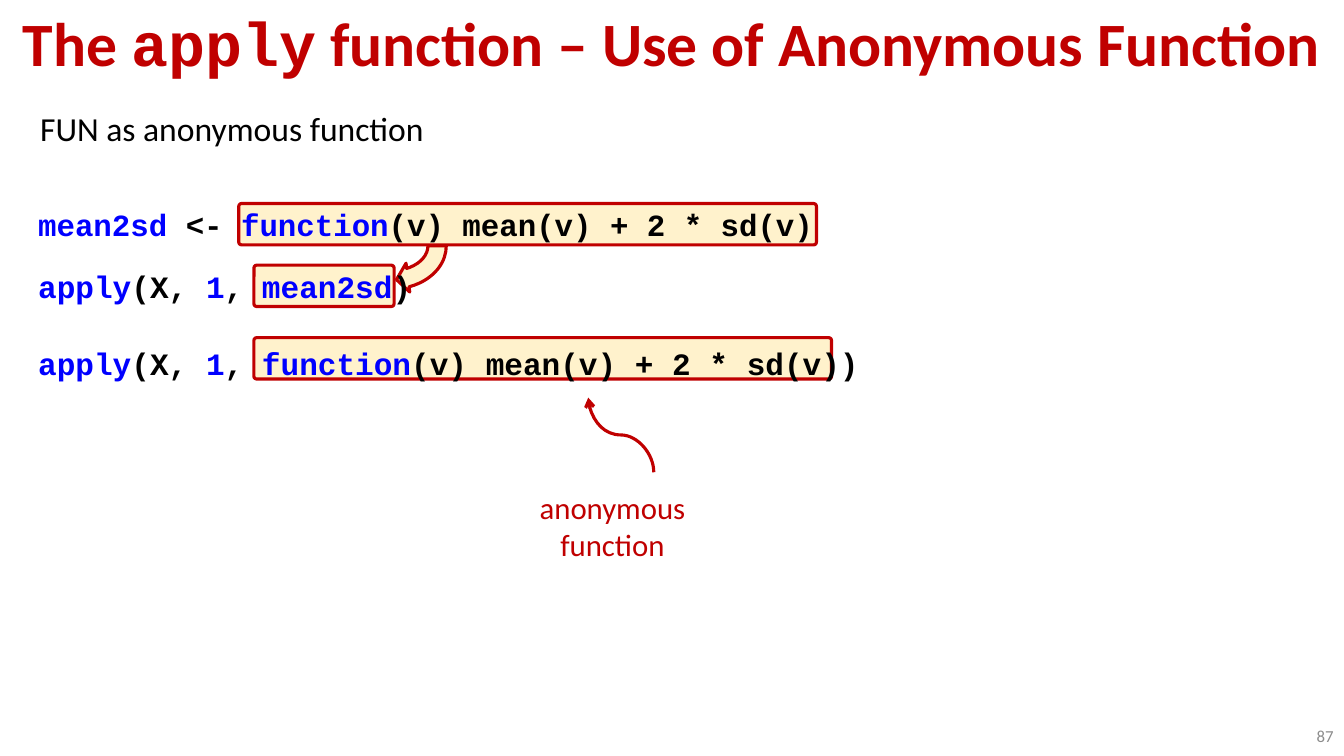
import pptx
import pptx.dml.color
import pptx.enum.shapes
import pptx.enum.text
import pptx.oxml
import pptx.oxml.ns
import pptx.util
from pptx.util import Pt

RED = pptx.dml.color.RGBColor(0xC0, 0x00, 0x00)
CREAM = pptx.dml.color.RGBColor(0xFF, 0xF2, 0xCC)
BLUE = pptx.dml.color.RGBColor(0x00, 0x00, 0xFF)
BLACK = pptx.dml.color.RGBColor(0x00, 0x00, 0x00)
GRAY = pptx.dml.color.RGBColor(0x8C, 0x8C, 0x8C)
BODY_FONT = "Calibri"
CODE_FONT = "Courier New"
LINE_WIDTH = 2.25
SHAPES = pptx.enum.shapes.MSO_SHAPE
ALIGN = pptx.enum.text.PP_ALIGN
ANCHOR = pptx.enum.text.MSO_ANCHOR


def add_text(slide, box, runs, size, color=BLACK, font=BODY_FONT, bold=False,
             align=ALIGN.LEFT, anchor=ANCHOR.TOP, spacing=1.0):
    shape = slide.shapes.add_textbox(*map(Pt, box))
    frame = shape.text_frame
    frame.word_wrap = True
    frame.vertical_anchor = anchor
    paragraph = frame.paragraphs[0]
    paragraph.alignment = align
    paragraph.line_spacing = spacing
    for text, changes in runs:
        run = paragraph.add_run()
        run.text = text
        run.font.size = Pt(size)
        run.font.bold = bold
        run.font.name = changes.get("font", font)
        run.font.color.rgb = changes.get("color", color)


def add_code(slide, top, size, pieces):
    runs = [(text, {"color": (BLUE, BLACK)[index % 2]})
            for index, text in enumerate(pieces)]
    add_text(slide, (20.2, top, 916, 36.7), runs, size,
             font=CODE_FONT, bold=True, spacing=1.1)


def add_highlight(slide, kind, box, adjustments, rotation=0):
    shape = slide.shapes.add_shape(kind, *map(Pt, box))
    shape.shadow.inherit = False
    shape.fill.solid()
    shape.fill.fore_color.rgb = CREAM
    shape.line.color.rgb = RED
    shape.line.width = Pt(LINE_WIDTH)
    shape.rotation = rotation
    for index, value in enumerate(adjustments):
        shape.adjustments[index] = value


def add_curved_arrow(slide, begin, end, rotation):
    connector = slide.shapes.add_connector(
        pptx.enum.shapes.MSO_CONNECTOR.CURVE, *map(Pt, begin + end))
    connector.line.color.rgb = RED
    connector.line.width = Pt(LINE_WIDTH)
    properties = connector._element.spPr
    properties.find(pptx.oxml.ns.qn("a:xfrm")).set("rot", str(rotation * 60000))
    namespace = pptx.oxml.ns.nsdecls("a")
    connector.line._get_or_add_ln().append(
        pptx.oxml.parse_xml(f'<a:headEnd {namespace} type="arrow"/>'))
    properties.append(pptx.oxml.parse_xml(f"<a:effectLst {namespace}/>"))


def main():
    presentation = pptx.Presentation()
    presentation.slide_width = Pt(960)
    presentation.slide_height = Pt(540)
    slide = presentation.slides.add_slide(presentation.slide_layouts[6])

    for left, top, width in ((181.4, 189.4, 100.1), (170.6, 145.4, 412.6),
                             (181.4, 241.2, 412.6)):
        add_highlight(slide, SHAPES.ROUNDED_RECTANGLE,
                      (left, top, width, 29.5), [0.066])
    add_highlight(slide, SHAPES.CIRCULAR_ARROW, (245.5, 133.2, 69.1, 85),
                  [0.19, 11.42, 200.12, 161.93, 0.15], rotation=90)

    add_text(slide, (0, 0, 960, 66.2),
             [("The ", {}), ("apply", {"font": CODE_FONT}),
              (" function – Use of Anonymous Function", {})],
             44, color=RED, bold=True, align=ALIGN.CENTER,
             anchor=ANCHOR.MIDDLE, spacing=0.9)
    add_text(slide, (21.6, 67.7, 916, 46.8),
             [("FUN as anonymous function", {})], 24, spacing=1.2)

    body = "(v) mean(v) + 2 * sd(v)"
    add_code(slide, 141.1, 22, ["mean2sd ", "<- ", "function", body])
    call = ["apply", "(X, ", "1", ", "]
    add_code(slide, 185, 22.2, call + ["mean2sd", ")"])
    add_code(slide, 239.8, 22.2, call + ["function", body + ")"])

    add_text(slide, (344.2, 345.6, 186.5, 25.9),
             [("anonymous function", {})], 22, color=RED, align=ALIGN.CENTER)
    add_curved_arrow(slide, (470.2, 287.3), (416.9, 334.1), 270)
    add_text(slide, (879.1, 511.2, 80.6, 28.8), [("87", {})], 12,
             color=GRAY, align=ALIGN.RIGHT, anchor=ANCHOR.MIDDLE)

    presentation.save("out.pptx")


if __name__ == "__main__":
    main()
